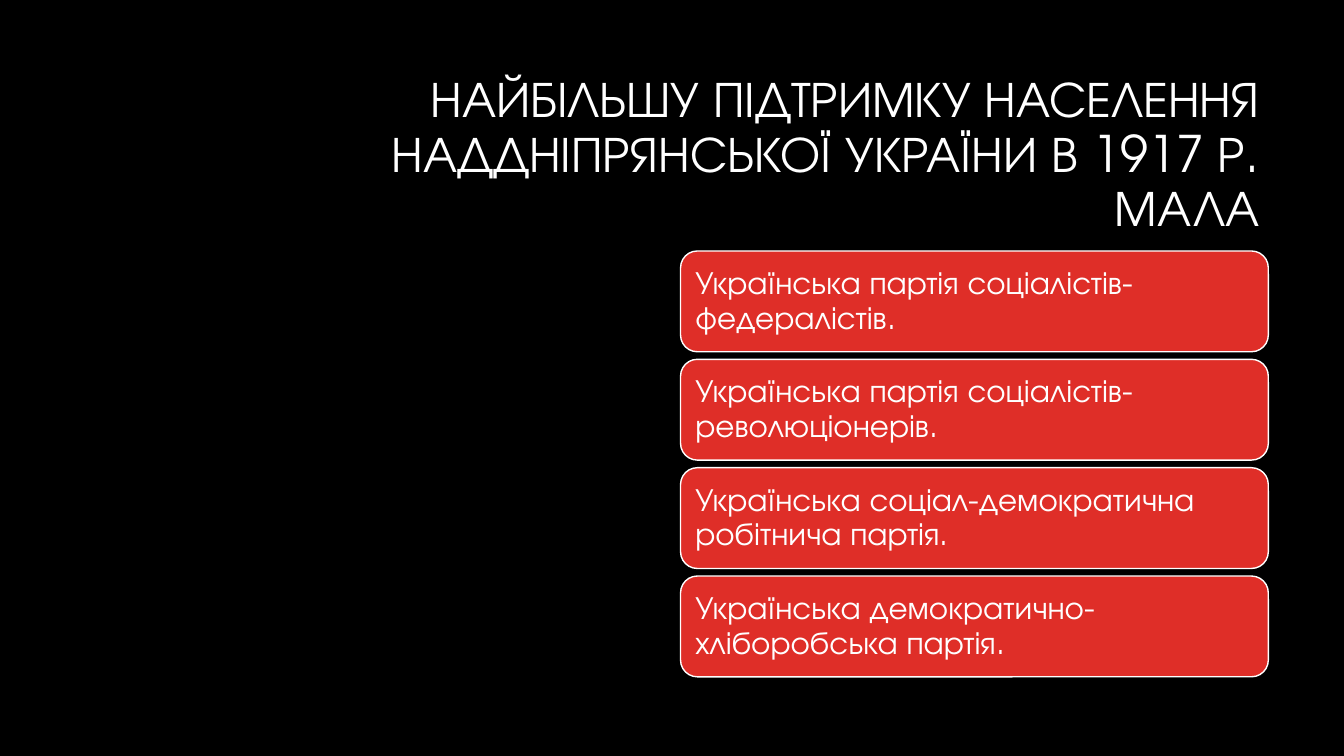
import pptx
import pptx.util
import pptx.dml.color
import pptx.enum.shapes
import pptx.enum.text

TITLE = "НАЙБІЛЬШУ ПІДТРИМКУ НАСЕЛЕННЯ НАДДНІПРЯНСЬКОЇ УКРАЇНИ В 1917 Р. МАЛА"
PARTIES = [
    "Українська партія соціалістів-федералістів.",
    "Українська партія соціалістів-революціонерів.",
    "Українська соціал-демократична робітнича партія.",
    "Українська демократично-хліборобська партія.",
]
COLORS = {"background": "000000", "card": "DF2E28", "text": "FFFFFF"}
FONT = "TeX Gyre Adventor"
CARD_LEFT, CARD_TOP, CARD_WIDTH, CARD_HEIGHT = 6.75, 2.49, 5.83, 1
CARD_STEP = 1.07 + 0.005

Inches = pptx.util.Inches
Pt = pptx.util.Pt
ALIGN = pptx.enum.text.PP_ALIGN


def color(name):
    return pptx.dml.color.RGBColor.from_string(COLORS[name])


def write(shape, text, size, align, inset):
    frame = shape.text_frame
    frame.word_wrap = True
    frame.vertical_anchor = pptx.enum.text.MSO_ANCHOR.MIDDLE
    frame.margin_left = frame.margin_right = Inches(0.1)
    frame.margin_top = frame.margin_bottom = Inches(inset)
    para = frame.paragraphs[0]
    para.alignment = align
    para.line_spacing = 0.9
    span = para.add_run()
    span.text = text
    span.font.name = FONT
    span.font.size = Pt(size)
    span.font.color.rgb = color("text")


def add_card(page, text, top):
    card = page.shapes.add_shape(
        pptx.enum.shapes.MSO_SHAPE.ROUNDED_RECTANGLE,
        Inches(CARD_LEFT), Inches(top), Inches(CARD_WIDTH), Inches(CARD_HEIGHT))
    card.shadow.inherit = False
    card.fill.solid()
    card.fill.fore_color.rgb = color("card")
    card.line.color.rgb = color("text")
    card.line.width = Pt(1)
    write(card, text, 23, ALIGN.LEFT, 0.1)


def main():
    deck = pptx.Presentation()
    deck.slide_width, deck.slide_height = Inches(13.33), Inches(7.5)
    page = deck.slides.add_slide(deck.slide_layouts[6])
    page.background.fill.solid()
    page.background.fill.fore_color.rgb = color("background")
    title = page.shapes.add_textbox(Inches(3.17), Inches(0.84), Inches(9.42), Inches(1.41))
    write(title, TITLE, 36, ALIGN.RIGHT, 0.05)
    for row, party in enumerate(PARTIES):
        add_card(page, party, CARD_TOP + row * CARD_STEP)
    deck.save("out.pptx")


if __name__ == "__main__":
    main()
